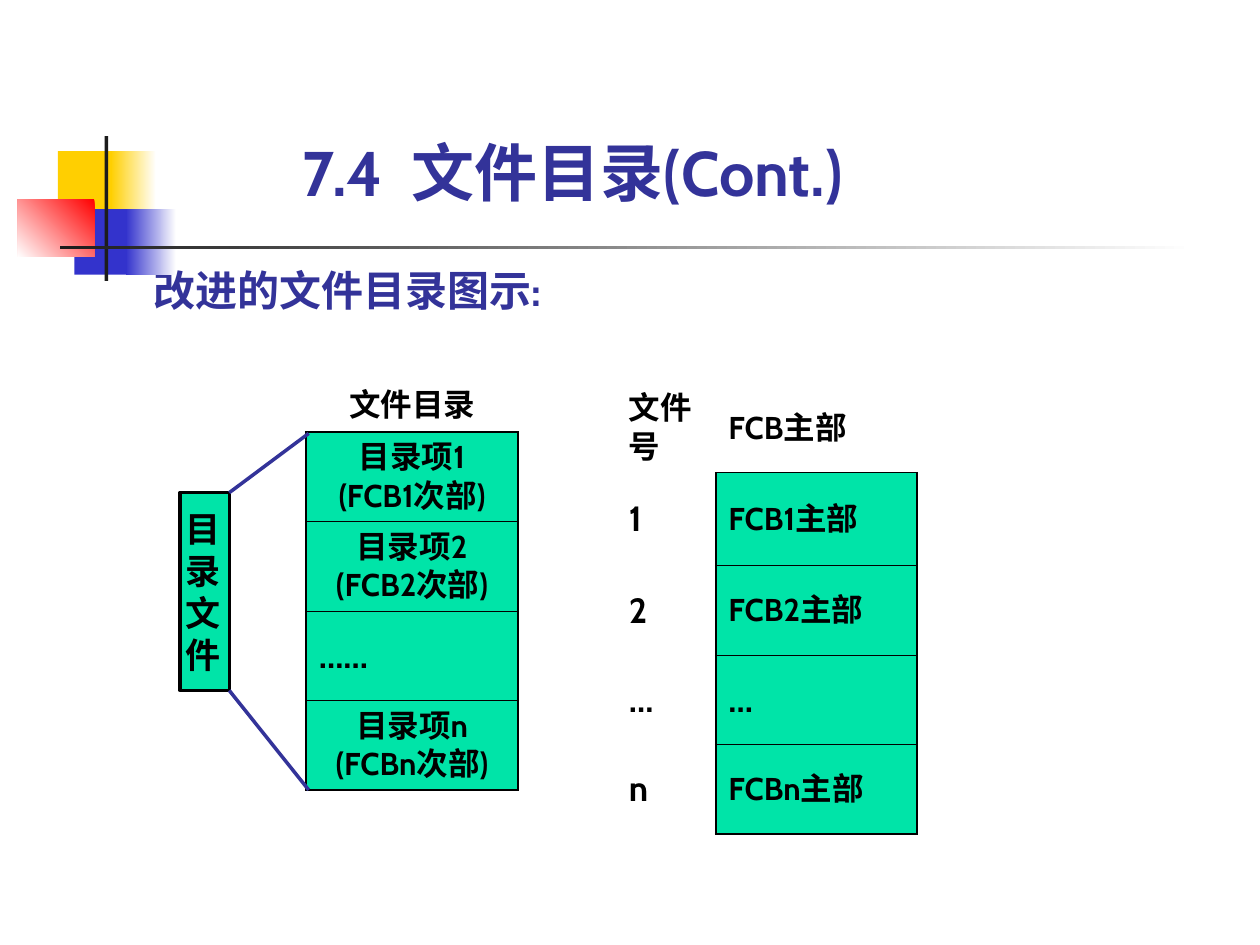
"""Build the slide on the improved file directory: two tables and a directory file box."""
import pptx
import pptx.dml.color
import pptx.enum.shapes
import pptx.enum.text
import pptx.oxml.ns
import pptx.util
from lxml import etree
from pptx.util import Inches

RGBColor = pptx.dml.color.RGBColor
WHITE = RGBColor(0xFF, 0xFF, 0xFF)
BLACK = RGBColor(0x00, 0x00, 0x00)
CHARCOAL = RGBColor(0x1C, 0x1C, 0x1C)
YELLOW = RGBColor(0xFF, 0xCF, 0x01)
BLUE = RGBColor(0x33, 0x33, 0xCC)
RED = RGBColor(0xFF, 0x00, 0x00)
NAVY = RGBColor(0x33, 0x33, 0x99)
GREEN = RGBColor(0x00, 0xE4, 0xA8)
FONT = "Cabin"
THICK, THIN = 1.08, 0.45
RECTANGLE = pptx.enum.shapes.MSO_SHAPE.RECTANGLE
ANCHOR = pptx.enum.text.MSO_ANCHOR
ALIGN = pptx.enum.text.PP_ALIGN
qn = pptx.oxml.ns.qn


def add_span(para, text, size, colour=BLACK):
    span = para.add_run()
    span.text = text
    span.font.size = pptx.util.Pt(size)
    span.font.bold = True
    span.font.color.rgb = colour
    span.font.name = FONT
    etree.SubElement(span.font._element, qn("a:ea"), typeface=FONT)


def format_cell(cell, borders, filled):
    cell.vertical_anchor = ANCHOR.MIDDLE
    properties = cell._tc.get_or_add_tcPr()
    for side in "LRTB":
        width = borders.get(side, 0)
        line = etree.SubElement(properties, qn(f"a:ln{side}"), w=str(pptx.util.Pt(width)))
        if width:
            paint = etree.SubElement(line, qn("a:solidFill"))
            etree.SubElement(paint, qn("a:srgbClr"), val=str(BLACK))
        else:
            etree.SubElement(line, qn("a:noFill"))
    if filled:
        cell.fill.solid()
        cell.fill.fore_color.rgb = GREEN
    else:
        cell.fill.background()


deck = pptx.Presentation()
deck.slide_width, deck.slide_height = Inches(10), Inches(7.5)
page = deck.slides.add_slide(deck.slide_layouts[1])
shapes = page.shapes

decorations = [
    (0.46, 1.2, 0.48, 0.52, [YELLOW], 0),
    (0.88, 1.2, 0.36, 0.52, [WHITE, YELLOW], 180),
    (0.59, 1.66, 0.46, 0.52, [BLUE], 0),
    (1, 1.66, 0.4, 0.52, [WHITE, BLUE], 180),
    (0.14, 1.58, 0.61, 0.46, [RED, WHITE], 225),
    (0.83, 1.08, 0.03, 1.15, [CHARCOAL], 0),
    (0.48, 1.95, 9, 0.03, [WHITE, CHARCOAL], 180),
]
for left, top, width, height, colours, angle in decorations:
    block = shapes.add_shape(RECTANGLE, Inches(left), Inches(top), Inches(width), Inches(height))
    block.shadow.inherit = False
    block.line.fill.background()
    if len(colours) == 1:
        block.fill.solid()
        block.fill.fore_color.rgb = colours[0]
    else:
        block.fill.gradient()
        block.fill.gradient_angle = angle
        for stop, colour in zip(block.fill.gradient_stops, colours):
            stop.color.rgb = colour

title, body = shapes.title, page.placeholders[1]
caption = shapes.add_textbox(0, 0, 0, 0)
headings = [
    (title, 2.4, 1.13, 5.12, 0.54, "7.4  文件目录(Cont.)", 36, NAVY, ANCHOR.BOTTOM),
    (body, 1.22, 2.1, 3.31, 0.4, "改进的文件目录图示:", 24, NAVY, ANCHOR.MIDDLE),
    (caption, 2.77, 3.06, 1.02, 0.3, "文件目录", 18, BLACK, ANCHOR.TOP),
]
for box, left, top, width, height, text, size, colour, anchor in headings:
    box.left, box.top = Inches(left), Inches(top)
    box.width, box.height = Inches(width), Inches(height)
    frame = box.text_frame
    frame.margin_left = frame.margin_right = frame.margin_top = frame.margin_bottom = 0
    frame.word_wrap = box is not caption
    frame.auto_size = pptx.enum.text.MSO_AUTO_SIZE.NONE
    frame.vertical_anchor = anchor
    para = frame.paragraphs[0]
    para.alignment = ALIGN.LEFT
    para.space_before = pptx.util.Pt(0)
    add_span(para, text, size, colour)
title.text_frame.paragraphs[0].line_spacing = 0.9
body_properties = body.text_frame.paragraphs[0]._p.get_or_add_pPr()
body_properties.set("marL", "0")
body_properties.set("indent", "0")
etree.SubElement(body_properties, qn("a:buNone"))

main_rows = [("文件号", "FCB主部"), ("1", "FCB1主部"), ("2", "FCB2主部"), ("…", "…"), ("n", "FCBn主部")]
entry_rows = [("目录项1\n(FCB1次部)",), ("目录项2 (FCB2次部)",), ("……",), ("目录项n (FCBn次部)",)]
tables = [
    (4.89, 3.04, [0.79, 1.6], [0.36, 0.74, 0.71, 0.71, 0.71], main_rows, 1),
    (2.43, 3.43, [1.68], [0.71] * 4, entry_rows, 0),
]
for left, top, widths, heights, rows, first in tables:
    holder = shapes.add_table(len(rows), len(widths), Inches(left), Inches(top),
                              Inches(sum(widths)), Inches(sum(heights)))
    table = holder.table
    table.first_row = table.horz_banding = False
    for column, width in zip(table.columns, widths):
        column.width = Inches(width)
    for row, height in zip(table.rows, heights):
        row.height = Inches(height)
    for row_number, texts in enumerate(rows):
        for column_number, text in enumerate(texts):
            cell = table.cell(row_number, column_number)
            is_entry = column_number == len(widths) - 1
            filled = is_entry and row_number >= first
            if filled:
                borders = {"L": THICK, "R": THICK,
                           "T": THICK if row_number == first else THIN,
                           "B": THICK if row_number == len(rows) - 1 else THIN}
            elif is_entry:
                borders = {"B": THICK}
            else:
                borders = {"R": THICK} if row_number >= first else {}
            format_cell(cell, borders, filled)
            for line_number, line in enumerate(text.split("\n")):
                frame = cell.text_frame
                para = frame.add_paragraph() if line_number else frame.paragraphs[0]
                if "次部" in text:
                    para.alignment = ALIGN.CENTER
                add_span(para, line, 18 if "部" in text or "文" in text else 20)

file_box = shapes.add_shape(RECTANGLE, Inches(1.43), Inches(3.91), Inches(0.39), Inches(1.57))
file_box.shadow.inherit = False
file_box.fill.solid()
file_box.fill.fore_color.rgb = GREEN
file_box.line.color.rgb = BLACK
file_box.line.width = pptx.util.Pt(2)
frame = file_box.text_frame
frame.word_wrap = True
frame.margin_left = Inches(0.04)
frame.margin_right = frame.margin_top = frame.margin_bottom = Inches(0.12)
frame.vertical_anchor = ANCHOR.TOP
frame.paragraphs[0].alignment = ALIGN.CENTER
add_span(frame.paragraphs[0], "目录文件", 20)

for start, end in [(3.91, 3.44), (5.48, 6.27)]:
    guide = shapes.add_connector(pptx.enum.shapes.MSO_CONNECTOR.STRAIGHT,
                                 Inches(1.82), Inches(start), Inches(2.45), Inches(end))
    guide.line.color.rgb = NAVY
    guide.line.width = pptx.util.Pt(2)
    etree.SubElement(guide._element.spPr, qn("a:effectLst"))

deck.save("out.pptx")
